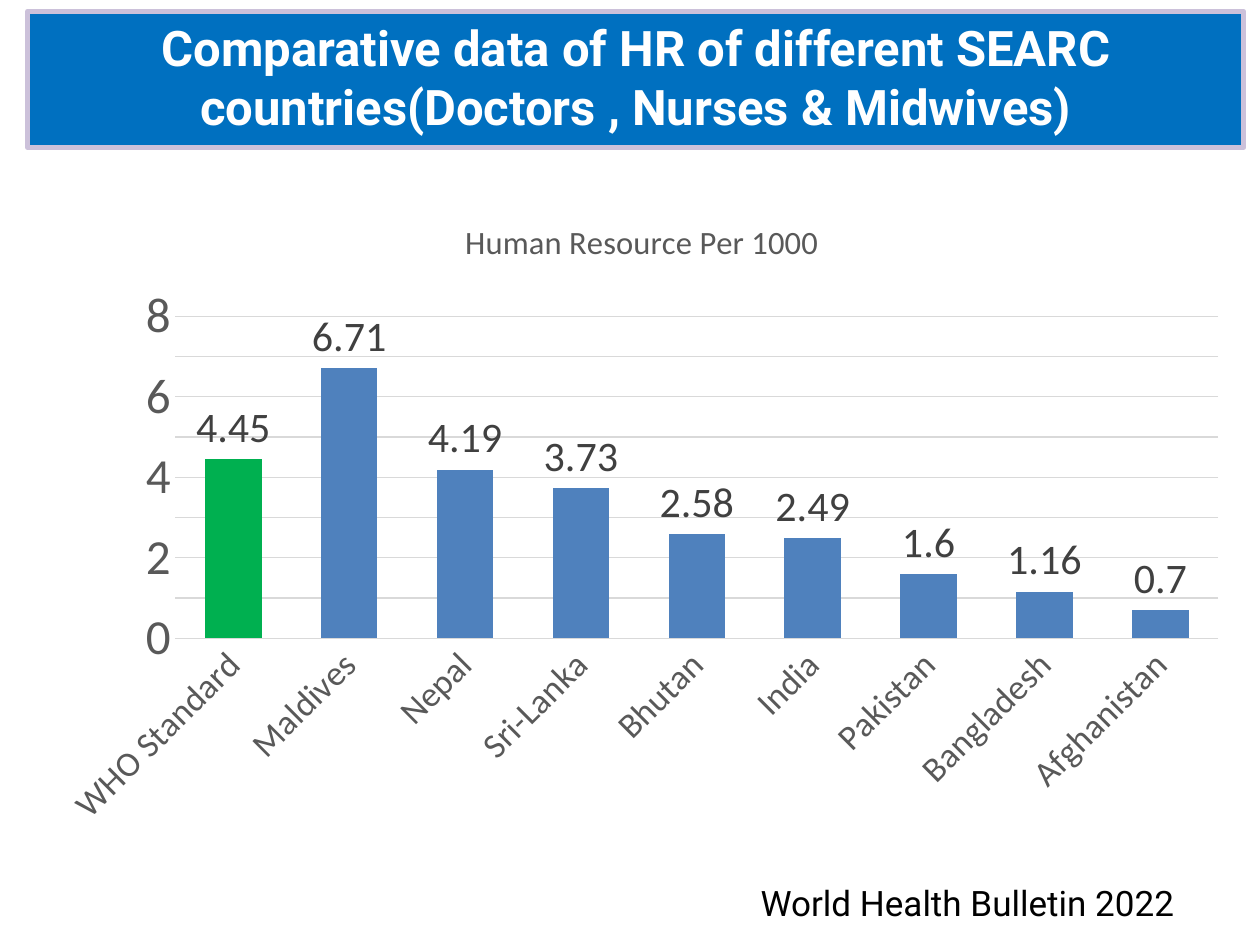
from pptx import Presentation
from pptx import util as u
from pptx.chart.data import CategoryChartData
from pptx.dml.color import RGBColor
from pptx.enum import chart as ch, shapes, text
from pptx.oxml.ns import qn

TITLE = "Human Resource Per 1000"
RATES = {
    "WHO Standard": 4.45, "Maldives": 6.71, "Nepal": 4.19,
    "Sri-Lanka": 3.73, "Bhutan": 2.58, "India": 2.49,
    "Pakistan": 1.6, "Bangladesh": 1.16, "Afghanistan": 0.7,
}


def paint(part, color):
    """Give a fill or a line one solid colour."""
    fill = part.fill if hasattr(part, "fill") else part
    fill.solid()
    fill.fore_color.rgb = RGBColor.from_string(color)


def style(font, size, color, name="Calibri", bold=False):
    font.size, font.name, font.bold = u.Pt(size), name, bold
    font.color.rgb = RGBColor.from_string(color)


def add_box(slide, box, words, fill, size, color, align, anchor,
            edge=None, bold=False):
    """Filled rectangle with one run of text."""
    shape = slide.shapes.add_shape(shapes.MSO_SHAPE.RECTANGLE,
                                   *map(u.Inches, box))
    shape.shadow.inherit = False
    paint(shape.fill, fill)
    if edge:
        paint(shape.line, edge)
        shape.line.width = u.Pt(3)
    else:
        shape.line.fill.background()
    frame = shape.text_frame
    frame.word_wrap = True
    frame.vertical_anchor = anchor
    par = frame.paragraphs[0]
    par.alignment = align
    run = par.add_run()
    run.text = words
    style(run.font, size, color, "Roboto", bold)


def add_bars(slide, box):
    data = CategoryChartData()
    data.categories = list(RATES)
    data.add_series(TITLE, list(RATES.values()))
    chart = slide.shapes.add_chart(ch.XL_CHART_TYPE.COLUMN_CLUSTERED,
                                   *map(u.Inches, box), data).chart
    style(chart.font, 10, "000000")
    chart.has_legend = False

    # Title
    chart.has_title = True
    run = chart.chart_title.text_frame.paragraphs[0].add_run()
    run.text = TITLE
    style(run.font, 18.6, "595959")
    chart.chart_title.include_in_layout = False

    # Axes
    cat, val = chart.category_axis, chart.value_axis
    for axis, size in ((cat, 20), (val, 28)):
        axis.major_tick_mark = axis.minor_tick_mark = ch.XL_TICK_MARK.NONE
        style(axis.tick_labels.font, size, "595959")
    cat.has_major_gridlines = False
    val.has_major_gridlines = True
    for line in (cat.format.line, val.major_gridlines.format.line):
        paint(line, "D9D9D9")
        line.width = u.Pt(0.75)
    val.format.line.fill.background()
    val.minimum_scale, val.maximum_scale, val.major_unit = 0, 8, 1
    # Slant the country names by 45 degrees
    cat._element.find(qn("c:txPr")).find(qn("a:bodyPr")).set("rot", "-2700000")

    # Columns
    plot = chart.plots[0]
    plot.vary_by_categories = False
    plot.gap_width, plot.overlap = 105, -27
    bars = plot.series[0]
    paint(bars.format, "4F81BD")
    paint(bars.points[0].format, "00B050")
    labels = bars.data_labels
    labels.show_value = True
    labels.position = ch.XL_LABEL_POSITION.OUTSIDE_END
    style(labels.font, 24, "404040")


def main():
    prs = Presentation()
    prs.slide_width, prs.slide_height = u.Inches(10), u.Inches(7.5)
    slide = prs.slides.add_slide(prs.slide_layouts[6])
    # Source note
    add_box(slide, (5.45, 6.94, 3.97, 0.44), "World Health Bulletin 2022",
            "FFFFFF", 20, "000000", text.PP_ALIGN.RIGHT,
            text.MSO_ANCHOR.MIDDLE)
    # Heading
    add_box(slide, (0.22, 0.09, 9.65, 1.08),
            "Comparative data of HR of different SEARC "
            "countries(Doctors , Nurses & Midwives)",
            "0070C0", 28, "FFFFFF", text.PP_ALIGN.CENTER,
            text.MSO_ANCHOR.TOP, edge="CCC1DA", bold=True)
    add_bars(slide, (0.33, 1.54, 9.53, 5.12))
    prs.save("out.pptx")


if __name__ == "__main__":
    main()
